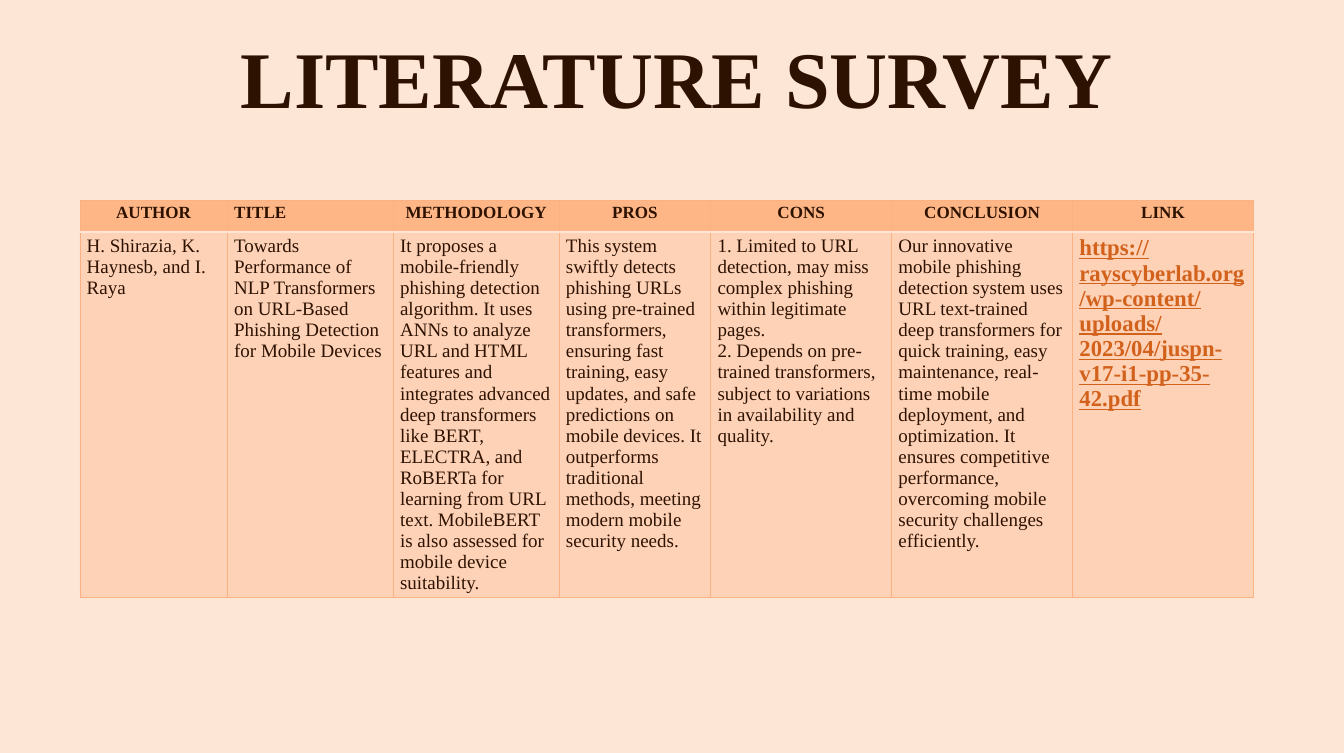
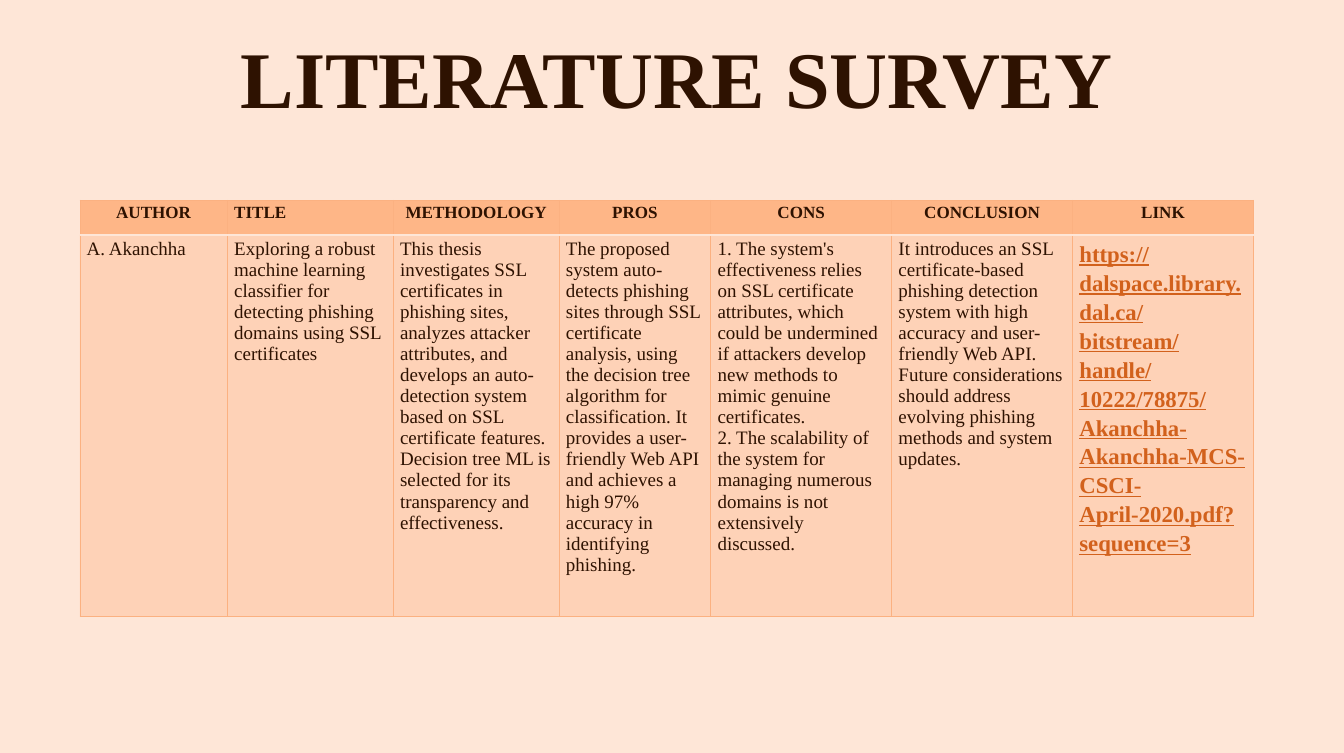
from lxml import etree
from pptx import Presentation
from pptx import util as u
from pptx.dml import color
from pptx.enum import text
from pptx.oxml import ns

COLORS = {
    "page": "FEE6D7",
    "ink": "2E1201",
    "cell": "FEB687",
    "edge": "FBB181",
    "link": "D2611C",
}
FONT = "Times New Roman"
ALIGN = text.PP_ALIGN

HEADERS = ["AUTHOR", "TITLE", "METHODOLOGY", "PROS", "CONS", "CONCLUSION", "LINK"]
COLUMN_WIDTHS = [2.16, 2.43, 2.43, 2.22, 2.65, 2.65, 2.65]

SURVEYS = [
    {
        "heights": [0.47, 4.77],
        "link_format": {},
        "entries": [
            "H. Shirazia, K. Haynesb, and I. Raya",
            "Towards Performance of NLP Transformers on URL-Based Phishing Detection for Mobile Devices",
            "It proposes a mobile-friendly phishing detection algorithm. It uses ANNs to analyze URL and "
            "HTML features and integrates advanced deep transformers like BERT, ELECTRA, and RoBERTa for "
            "learning from URL text. MobileBERT is also assessed for mobile device suitability.",
            "This system swiftly detects phishing URLs using pre-trained transformers, ensuring fast "
            "training, easy updates, and safe predictions on mobile devices. It outperforms traditional "
            "methods, meeting modern mobile security needs.",
            "1. Limited to URL detection, may miss complex phishing within legitimate pages.\n"
            "2. Depends on pre-trained transformers, subject to variations in availability and quality.",
            "Our innovative mobile phishing detection system uses URL text-trained deep transformers for "
            "quick training, easy maintenance, real-time mobile deployment, and optimization. It ensures "
            "competitive performance, overcoming mobile security challenges efficiently.",
            "https://rayscyberlab.org/wp-content/uploads/2023/04/juspn-v17-i1-pp-35-42.pdf",
        ],
    },
    {
        "heights": [0.51, 5.58],
        "link_format": {"line_spacing": 1.15, "space_after": 10},
        "entries": [
            "A. Akanchha",
            "Exploring a robust machine learning classifier for detecting phishing domains using SSL "
            "certificates",
            "This thesis investigates SSL certificates in phishing sites, analyzes attacker attributes, "
            "and develops an auto-detection system based on SSL certificate features. Decision tree ML is "
            "selected for its transparency and effectiveness.",
            "The proposed system auto-detects phishing sites through SSL certificate analysis, using the "
            "decision tree algorithm for classification. It provides a user-friendly Web API and achieves "
            "a high 97% accuracy in identifying phishing.",
            "1. The system's effectiveness relies on SSL certificate attributes, which could be "
            "undermined if attackers develop new methods to mimic genuine certificates.\n"
            "2. The scalability of the system for managing numerous domains is not extensively discussed.",
            "It introduces an SSL certificate-based phishing detection system with high accuracy and "
            "user-friendly Web API. Future considerations should address evolving phishing methods and "
            "system updates.",
            "https://dalspace.library.dal.ca/bitstream/handle/10222/78875/"
            "Akanchha-Akanchha-MCS-CSCI-April-2020.pdf?sequence=3",
        ],
    },
]


def rgb(name):
    return color.RGBColor.from_string(COLORS[name])


def write(frame, words, size=20, ink="ink", bold=False, underline=False,
          align=ALIGN.LEFT, line_spacing=1.0, space_after=0):
    for number, line in enumerate(words.split("\n")):
        para = frame.add_paragraph() if number else frame.paragraphs[0]
        para.alignment = align
        para.line_spacing = line_spacing
        para.space_before = u.Pt(0)
        para.space_after = u.Pt(space_after)
        span = para.add_run()
        span.text = line
        span.font.name = FONT
        span.font.size = u.Pt(size)
        span.font.bold = bold
        span.font.underline = underline
        span.font.color.rgb = rgb(ink)


class SurveyDeck:
    def __init__(self):
        self.deck = Presentation()
        self.deck.slide_width = u.Cm(50)
        self.deck.slide_height = u.Cm(28)
        background = self.deck.slide_master.background.fill
        background.solid()
        background.fore_color.rgb = rgb("page")
        self.page = None

    def add_page(self):
        self.page = self.deck.slides.add_slide(self.deck.slide_layouts[5])

    def add_title(self, words):
        box = self.page.shapes.title
        box.left, box.top = u.Inches(1.87), u.Inches(0.36)
        box.width, box.height = u.Inches(16.08), u.Inches(1.53)
        frame = box.text_frame
        frame.auto_size = text.MSO_AUTO_SIZE.NONE
        frame.word_wrap = True
        frame.vertical_anchor = text.MSO_ANCHOR.MIDDLE
        frame.margin_left = frame.margin_right = u.Inches(0.18)
        frame.margin_top = frame.margin_bottom = u.Inches(0.09)
        write(frame, words, size=84.6, bold=True, align=ALIGN.CENTER)

    def paint_cell(self, cell, opacity=None, **edges):
        cell.fill.solid()
        cell.fill.fore_color.rgb = rgb("cell")
        properties = cell._tc.get_or_add_tcPr()
        if opacity:
            tint = properties.find(".//" + ns.qn("a:srgbClr"))
            etree.SubElement(tint, ns.qn("a:alpha"), val=str(opacity * 1000))
        for place, side in enumerate("LRTB"):
            name, width = edges.get(side, ("edge", 0.75))
            line = etree.Element(ns.qn("a:ln" + side), w=str(u.Pt(width)))
            fill = etree.SubElement(line, ns.qn("a:solidFill"))
            etree.SubElement(fill, ns.qn("a:srgbClr"), val=COLORS[name])
            properties.insert(place, line)

    def add_table(self, entries, heights, link_format):
        table = self.page.shapes.add_table(
            2, len(HEADERS), u.Inches(1.17), u.Inches(2.93),
            u.Inches(sum(COLUMN_WIDTHS)), u.Inches(sum(heights))).table
        table.horz_banding = False
        for row, height in zip(table.rows, heights):
            row.height = u.Inches(height)
        divider = ("page", 2)
        for index, (header, entry) in enumerate(zip(HEADERS, entries)):
            table.columns[index].width = u.Inches(COLUMN_WIDTHS[index])
            top, body = table.cell(0, index), table.cell(1, index)
            self.paint_cell(top, B=divider)
            self.paint_cell(body, opacity=40, T=divider)
            write(top.text_frame, header, size=18, bold=True,
                  align=ALIGN.JUSTIFY if header == "TITLE" else ALIGN.CENTER)
            if header == "LINK":
                write(body.text_frame, entry, size=24, ink="link", bold=True,
                      underline=True, align=ALIGN.JUSTIFY, **link_format)
            else:
                write(body.text_frame, entry)


def main():
    survey_deck = SurveyDeck()
    for survey in SURVEYS:
        survey_deck.add_page()
        survey_deck.add_title("LITERATURE SURVEY")
        survey_deck.add_table(**survey)
    survey_deck.deck.save("out.pptx")


if __name__ == "__main__":
    main()
